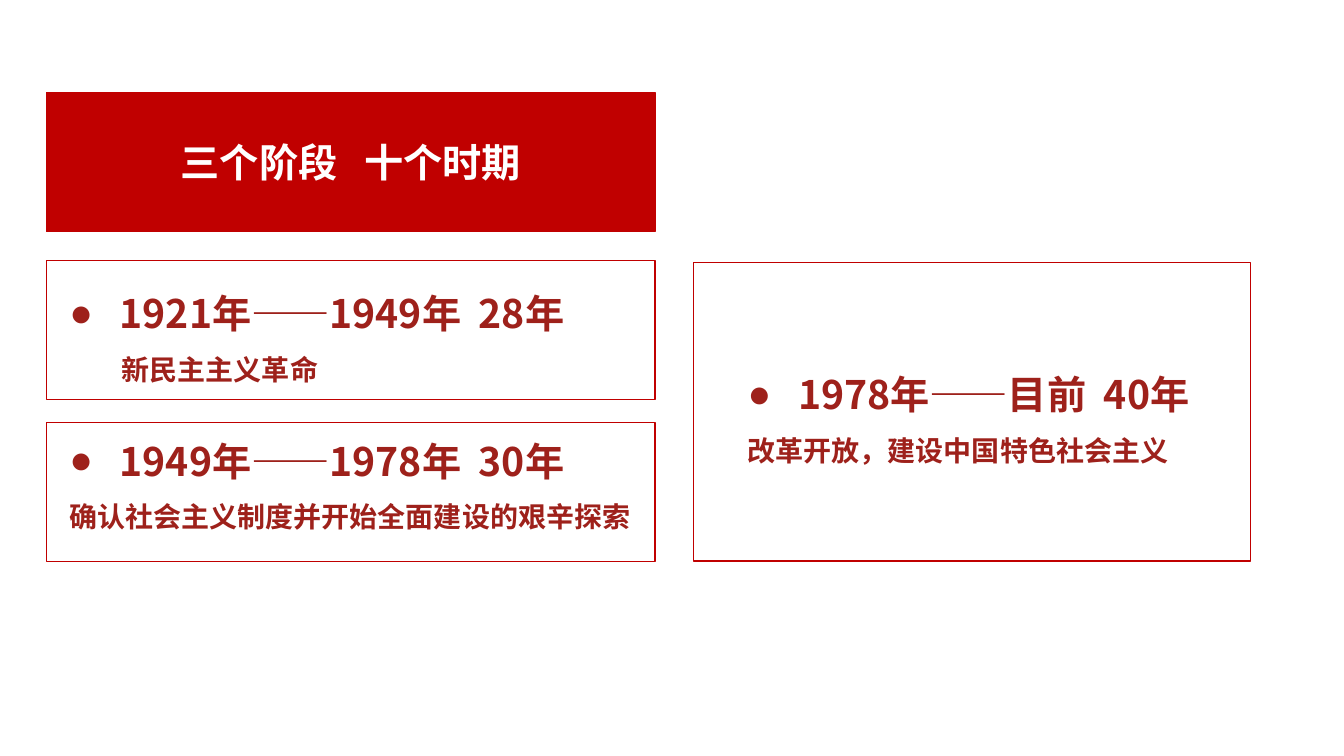
from lxml.etree import SubElement
from pptx import Presentation
from pptx.dml.color import RGBColor
from pptx.enum.lang import MSO_LANGUAGE_ID
from pptx.enum.shapes import MSO_SHAPE
from pptx.enum.text import MSO_ANCHOR, MSO_AUTO_SIZE, PP_ALIGN
from pptx.oxml.ns import qn
from pptx.util import Pt

FONT = "Noto Sans CJK SC"
RED, DARK_RED, WHITE = "C00000", "9E211B", "FFFFFF"
LEFT, CARD_W, CARD_H = 33.1, 434.9, 99.4


def rgb(hex_color):
    """Turn a hex string into a colour."""
    return RGBColor.from_string(hex_color)


def add_run(p, text, size, color):
    """Add one bold run in the slide's font."""
    r = p.add_run()
    r.text = text
    r.font.name = FONT
    r.font.size = Pt(size)
    r.font.bold = True
    r.font.color.rgb = rgb(color)
    r.font.language_id = MSO_LANGUAGE_ID.SIMPLIFIED_CHINESE
    SubElement(r.font._element, qn("a:ea")).set("typeface", FONT)


def add_bullet(p):
    """Give a paragraph a round bullet with a hanging indent."""
    pPr = p._p.get_or_add_pPr()
    pPr.set("marL", str(Pt(36)))
    pPr.set("indent", str(Pt(-36)))
    SubElement(pPr, qn("a:buFont")).set("typeface", "Arial")
    SubElement(pPr, qn("a:buChar")).set("char", "●")


def add_card(s, x, y, w, h, fill=None):
    """Add a red-edged rectangle, filled or open."""
    sp = s.shapes.add_shape(MSO_SHAPE.RECTANGLE, Pt(x), Pt(y), Pt(w), Pt(h))
    sp.shadow.inherit = False
    sp.line.color.rgb = rgb(RED)
    sp.line.width = Pt(1)
    if fill:
        sp.fill.solid()
        sp.fill.fore_color.rgb = rgb(fill)
    else:
        sp.fill.background()
    return sp


def add_text(s, x, y, w, h, text, size, bullet=False):
    """Add a one-line text box."""
    sp = s.shapes.add_textbox(Pt(x), Pt(y), Pt(w), Pt(h))
    tf = sp.text_frame
    tf.word_wrap = True
    tf.auto_size = MSO_AUTO_SIZE.SHAPE_TO_FIT_TEXT
    p = tf.paragraphs[0]
    if bullet:
        add_bullet(p)
    add_run(p, text, size, DARK_RED)


def add_stage(s, x, y, w, years, theme, theme_indent=0):
    """Add the years of a stage with its theme below."""
    add_text(s, x, y, w, 41.2, years, 28, bullet=True)
    add_text(s, x + theme_indent, y + 44.9, w - theme_indent, 31.5, theme, 20)


def add_title(s, text):
    """Add the filled title block."""
    tf = add_card(s, LEFT, 66.2, CARD_W, CARD_H, RED).text_frame
    tf.vertical_anchor = MSO_ANCHOR.MIDDLE
    p = tf.paragraphs[0]
    p.alignment = PP_ALIGN.CENTER
    add_run(p, text, 28, WHITE)


def main():
    """Build the slide and save it."""
    prs = Presentation()
    prs.slide_width, prs.slide_height = Pt(960), Pt(540)
    s = prs.slides.add_slide(prs.slide_layouts[6])
    add_title(s, "三个阶段   十个时期")
    add_card(s, LEFT, 186, CARD_W, CARD_H)
    add_card(s, LEFT, 301.8, CARD_W, CARD_H)
    add_card(s, 495.2, 187.5, 398.2, 213.2)
    add_stage(s, 42.5, 203, 425, "1921年——1949年  28年", "新民主主义革命", 37.4)
    add_stage(s, 42.5, 308.5, 425, "1949年——1978年  30年",
              "确认社会主义制度并开始全面建设的艰辛探索")
    add_stage(s, 527, 261.2, 366, "1978年——目前  40年",
              "改革开放，建设中国特色社会主义")
    prs.save("out.pptx")


if __name__ == "__main__":
    main()
